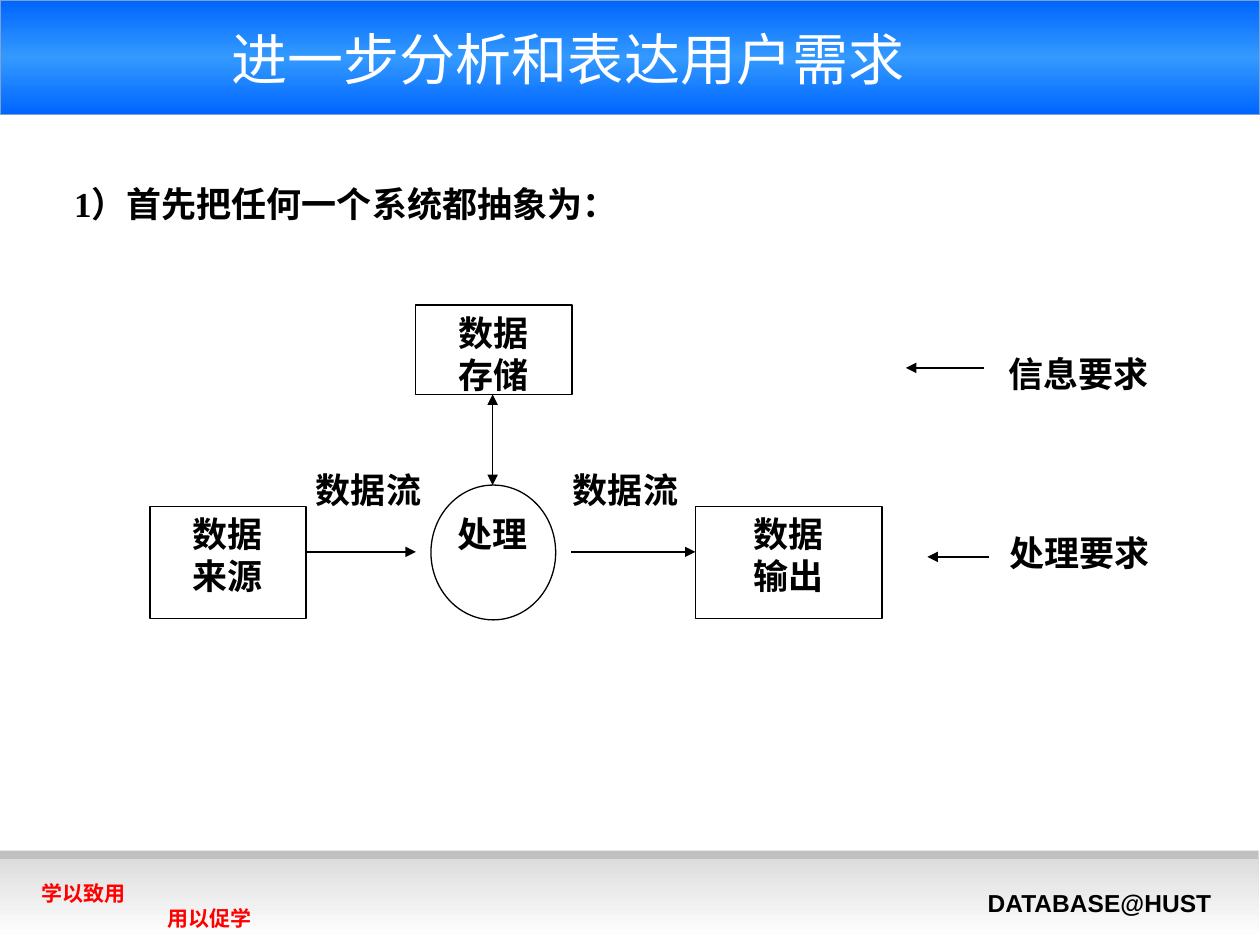
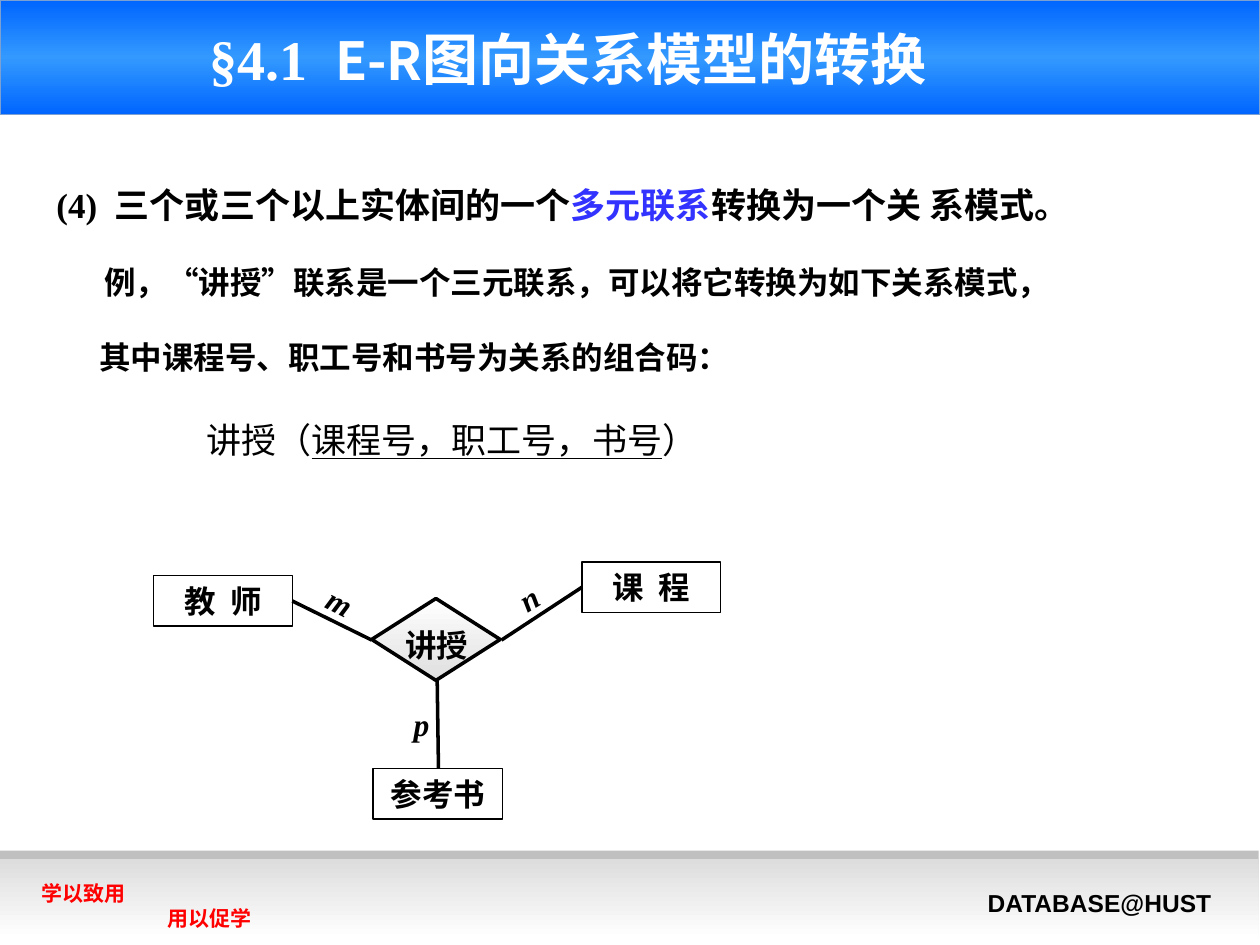
from copy import deepcopy

from lxml import etree
from pptx import Presentation
from pptx.dml.color import RGBColor
from pptx.enum.shapes import MSO_CONNECTOR, MSO_SHAPE
from pptx.enum.text import MSO_ANCHOR, PP_ALIGN
from pptx.oxml.ns import qn
from pptx.util import Inches, Pt

RECT, OVAL, DIAMOND = MSO_SHAPE.RECTANGLE, MSO_SHAPE.OVAL, MSO_SHAPE.DIAMOND
STRAIGHT = MSO_CONNECTOR.STRAIGHT
LEFT, CENTER = PP_ALIGN.LEFT, PP_ALIGN.CENTER
TOP, MIDDLE = MSO_ANCHOR.TOP, MSO_ANCHOR.MIDDLE

COLORS = {
    "black": "000000", "white": "FFFFFF", "red": "FF0000", "accent": "3333FF",
    "band": "0066FF", "band_mid": "3399FF", "band_edge": "7DA0D3",
    "strip": "C0C0C0", "footer": "DDDDDD", "diamond": "DFDFDF",
}
SERIF, SANS, CJK = "Times New Roman", "Arial", "Noto Sans CJK SC"

BODY = {"name": SERIF, "size": Pt(20), "bold": True, "color": "black"}
FLOW = BODY | {"name": CJK}
ENTITY = BODY | {"size": Pt(18)}
CARDINALITY = ENTITY | {"italic": True}
TITLE = {"name": SANS, "size": Pt(32), "color": "white"}
MOTTO = {"name": SANS, "size": Pt(12), "bold": True, "color": "red"}
COURSE = {"name": SANS, "size": Pt(14), "bold": True, "color": "black"}


def draw(slide, at, kind=None, lines=(), style=BODY, align=CENTER, anchor=TOP,
         side=0.1, spacing=None, indents=(), fill=(), edge=None, weight=0.75):
    """Add a shape, or a text box if kind is None; a line is text or (text, changes) runs."""
    box = [Inches(length) for length in at]
    if kind is None:
        shape = slide.shapes.add_textbox(*box)
    else:
        shape = slide.shapes.add_shape(kind, *box)
        shape.shadow.inherit = False
        if len(fill) > 1:
            shape.fill.gradient()
            shape.fill.gradient_angle = 270
            stops = shape._element.spPr.find(".//" + qn("a:gsLst"))
            for _ in fill[2:]:
                stops.append(deepcopy(stops[0]))
            for i, (stop, color) in enumerate(zip(shape.fill.gradient_stops, fill)):
                stop.position = i / (len(fill) - 1)
                stop.color.rgb = RGBColor.from_string(COLORS[color])
        elif fill:
            shape.fill.solid()
            shape.fill.fore_color.rgb = RGBColor.from_string(COLORS[fill[0]])
        else:
            shape.fill.background()
        if edge:
            shape.line.color.rgb = RGBColor.from_string(COLORS[edge])
            shape.line.width = Pt(weight)
        else:
            shape.line.fill.background()

    frame = shape.text_frame
    frame.word_wrap = True
    frame.vertical_anchor = anchor
    frame.margin_left = frame.margin_right = Inches(side)
    for i, line in enumerate(lines):
        paragraph = frame.add_paragraph() if i else frame.paragraphs[0]
        paragraph.alignment = align
        paragraph.line_spacing = spacing
        if indents:
            paragraph._p.get_or_add_pPr().set("marL", str(Inches(indents[i])))
        for text, changes in [(line, {})] if isinstance(line, str) else line:
            run = paragraph.add_run()
            run.text = text
            for key, value in (style | changes).items():
                if key == "color":
                    run.font.color.rgb = RGBColor.from_string(COLORS[value])
                else:
                    setattr(run.font, key, value)
    return shape


def connect(slide, start, end, weight=0.75, arrows=()):
    """Draw a black line; arrows names its pointed ends, headEnd and tailEnd."""
    line = slide.shapes.add_connector(STRAIGHT, *[Inches(n) for n in start + end])
    line.line.color.rgb = RGBColor.from_string(COLORS["black"])
    line.line.width = Pt(weight)
    for tag in arrows:
        etree.SubElement(line.line._get_or_add_ln(), qn("a:" + tag), type="triangle")
    etree.SubElement(line._element.spPr, qn("a:effectLst"))


prs = Presentation()
prs.slide_width, prs.slide_height = Inches(10), Inches(7.5)

# Band, title and footer of both slides
titles = [
    "进一步分析和表达用户需求",
    [("§4.1  ", {"name": SERIF, "bold": True}),
     ("E-R", {"name": CJK, "size": Pt(30), "bold": True}),
     ("图向关系模型的转换", {"name": CJK, "bold": True})],
]
for title in titles:
    slide = prs.slides.add_slide(prs.slide_layouts[6])
    draw(slide, (0, 0, 10, 0.91), RECT, fill=("band", "band_mid", "band"), edge="band_edge")
    draw(slide, (0, 6.75, 9.99, 0.29), RECT, fill=("strip",))
    draw(slide, (0, 6.82, 9.99, 0.63), RECT, fill=("footer", "white"))
    draw(slide, (0.23, 6.94, 2, 0.5), lines=["学以致用", "用以促学"],
         style=MOTTO, align=LEFT, indents=(0, 1))
    draw(slide, (7.74, 7, 2.09, 0.34), lines=["DATABASE@HUST"], style=COURSE, align=LEFT)
    draw(slide, (0, 0, 9.02, 0.92), lines=[title], style=TITLE, anchor=MIDDLE)
system_slide, er_slide = prs.slides

# Slide 1: a system as data flow
draw(system_slide, (0.49, 1.23, 4.67, 0.91), lines=["1）首先把任何一个系统都抽象为："],
     align=LEFT, spacing=1.5)
draw(system_slide, (3.42, 3.85, 0.99, 1.07), OVAL, edge="black")
for at, lines in [
    ((3.3, 2.42, 1.24, 0.71), ["数据", "存储"]),
    ((1.19, 4.02, 1.24, 0.89), ["数据", "来源"]),
    ((5.52, 4.02, 1.48, 0.89), ["数据", "输出"]),
]:
    draw(system_slide, at, RECT, lines, side=0, edge="black")
for at, label, style in [
    ((2.43, 3.67, 0.99, 0.71), "数据流", FLOW),
    ((4.41, 3.67, 1.11, 0.71), "数据流", FLOW),
    ((3.54, 4.02, 0.74, 0.53), "处理", BODY),
    ((7.94, 2.75, 1.24, 0.73), "信息要求", BODY),
    ((7.95, 4.17, 1.24, 0.57), "处理要求", BODY),
]:
    draw(system_slide, at, lines=[label], style=style, side=0)
for start, end in [
    ((2.43, 4.38), (3.3, 4.38)),
    ((4.53, 4.38), (5.52, 4.38)),
    ((7.81, 2.92), (7.19, 2.92)),
    ((7.85, 4.42), (7.36, 4.42)),
]:
    connect(system_slide, start, end, arrows=["tailEnd"])
connect(system_slide, (3.91, 3.13), (3.91, 3.85), arrows=["headEnd", "tailEnd"])

# Slide 2: a three-way relationship
small, plain = {"size": Pt(18)}, {"bold": False}
rule = [
    [("(4)  三个或三个以上实体间的一个", {}), ("多元联系", {"color": "accent"}),
     ("转换为一个关 系模式。", {})],
    [("例，“讲授”联系是一个三元联系，可以将它转换为如下关系模式，", small)],
    [("其中课程号、职工号和书号为关系的组合码：", small)],
    [("讲授（", plain), ("课程号，职工号，书号", plain | {"underline": True}), ("）", plain)],
]
draw(er_slide, (0.35, 1.07, 9.37, 2.73), lines=rule, align=LEFT, spacing=2,
     indents=(0, 0.38, 0.34, 1.19))
for start, end in [
    ((2.32, 4.77), (2.95, 5.08)),
    ((3.98, 5.08), (4.62, 4.66)),
    ((3.47, 5.4), (3.48, 6.1)),
]:
    connect(er_slide, start, end, weight=2)
for at, entity in [
    ((1.22, 4.57, 1.1, 0.4), "教  师"),
    ((4.62, 4.46, 1.1, 0.4), "课  程"),
    ((2.96, 6.1, 1.03, 0.4), "参考书"),
]:
    draw(er_slide, at, RECT, [entity], ENTITY, edge="black")
draw(er_slide, (2.95, 4.75, 1.02, 0.65), DIAMOND, fill=("white", "diamond"),
     edge="black", weight=2)
draw(er_slide, (3.07, 4.92, 0.79, 0.4), lines=["讲授"], style=ENTITY)
for at, letter, angle in [
    ((2.43, 4.58, 0.54, 0.4), "m", 26.8),
    ((3.88, 4.55, 0.63, 0.4), "n", 328.9),
    ((3.03, 5.55, 0.63, 0.4), "p", 0),
]:
    draw(er_slide, at, lines=[letter], style=CARDINALITY).rotation = angle

prs.save("out.pptx")
